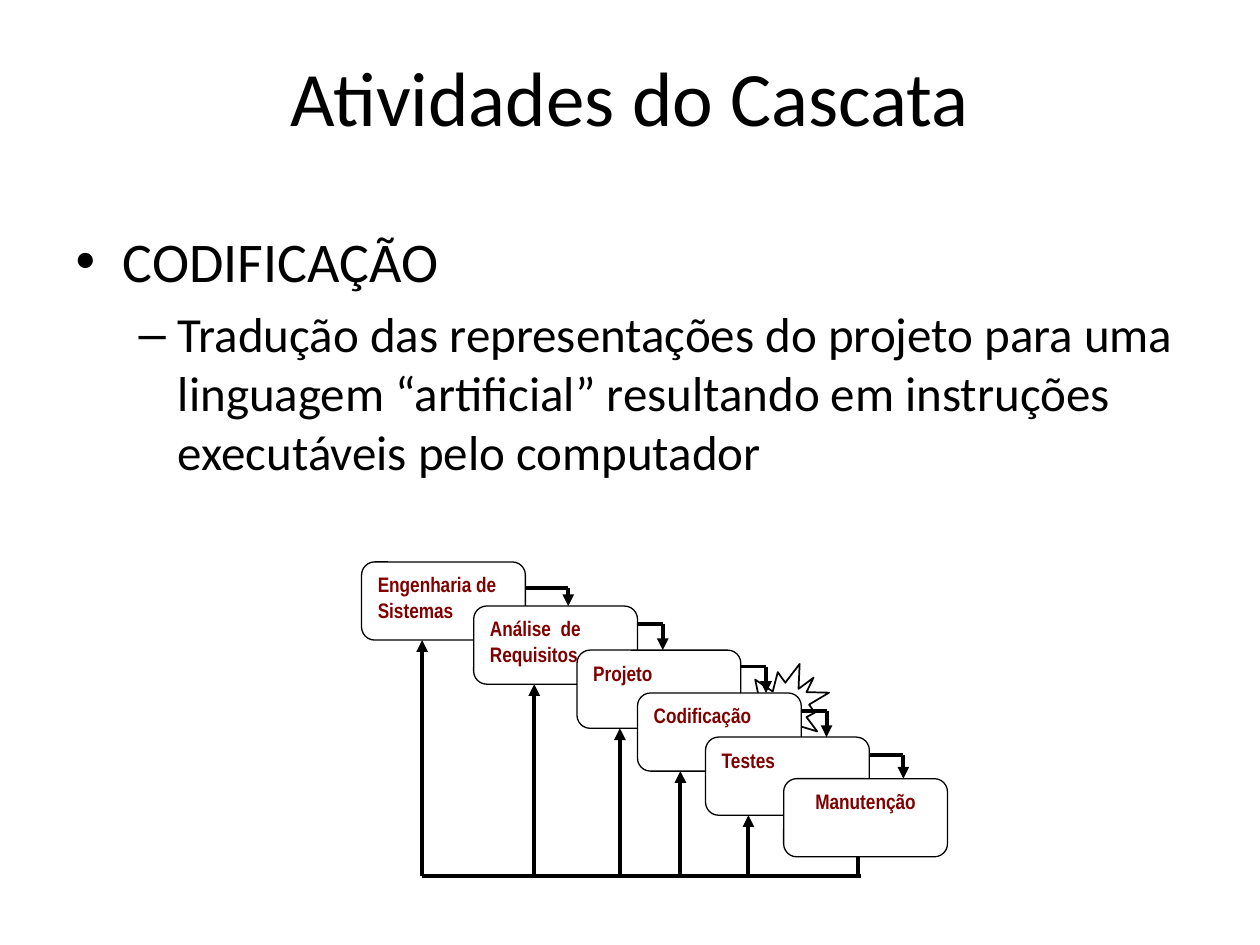
from pptx import Presentation
from pptx.dml.color import RGBColor
from pptx.enum.shapes import MSO_CONNECTOR, MSO_SHAPE
from pptx.enum.text import MSO_ANCHOR, PP_ALIGN
from pptx.oxml.ns import qn
from pptx.util import Inches, Pt
from lxml import etree

STRAIGHT = MSO_CONNECTOR.STRAIGHT
ROUNDED = MSO_SHAPE.ROUNDED_RECTANGLE
BURST = MSO_SHAPE.EXPLOSION2
TOP = MSO_ANCHOR.TOP
LEFT, CENTER = PP_ALIGN.LEFT, PP_ALIGN.CENTER

BOX_WIDTH, BOX_HEIGHT = 1.3, 0.62
RETURN_Y = 6.95


def color(value):
    return RGBColor.from_string(value)


class CascadeSlide:
    black, white, maroon = "000000", "FFFFFF", "800000"
    text_font, stage_font = "Calibri", "Arial Narrow"

    def __init__(self, presentation):
        self.slide = presentation.slides.add_slide(presentation.slide_layouts[1])

    def place(self, shape, left, top, width, height):
        shape.left, shape.top = Inches(left), Inches(top)
        shape.width, shape.height = Inches(width), Inches(height)

    def add_text(self, paragraph, text, size, font, ink, bold=False):
        run = paragraph.add_run()
        run.text = text
        run.font.size = Pt(size)
        run.font.name = font
        run.font.bold = bold
        run.font.color.rgb = color(ink)

    def title(self, text):
        heading = self.slide.shapes.title
        self.place(heading, 0.5, 0.3, 9, 1.25)
        frame = heading.text_frame
        frame.vertical_anchor = TOP
        frame.margin_top = Inches(0.09)
        frame.paragraphs[0].alignment = CENTER
        self.add_text(frame.paragraphs[0], text, 44, self.text_font, self.black)

    def body(self, items):
        outline = self.slide.placeholders[1]
        self.place(outline, 0.5, 1.75, 9, 4.95)
        frame = outline.text_frame
        for index, (level, size, space, text) in enumerate(items):
            paragraph = frame.add_paragraph() if index else frame.paragraphs[0]
            paragraph.level = level
            paragraph.space_before = Pt(space)
            self.add_text(paragraph, text, size, self.text_font, self.black)

    def outlined(self, kind, left, top, width, height, weight):
        shape = self.slide.shapes.add_shape(
            kind, Inches(left), Inches(top), Inches(width), Inches(height))
        shape.shadow.inherit = False
        shape.fill.background()
        shape.line.color.rgb = color(self.black)
        shape.line.width = Pt(weight)
        return shape

    def stage(self, text, left, top, alignment):
        box = self.outlined(ROUNDED, left, top, BOX_WIDTH, BOX_HEIGHT, 0.75)
        box.fill.solid()
        box.fill.fore_color.rgb = color(self.white)
        frame = box.text_frame
        frame.word_wrap = True
        frame.vertical_anchor = TOP
        frame.paragraphs[0].alignment = alignment
        self.add_text(frame.paragraphs[0], text, 12, self.stage_font, self.maroon, True)

    def line(self, x1, y1, x2, y2, arrow=False):
        connector = self.slide.shapes.add_connector(
            STRAIGHT, Inches(x1), Inches(y1), Inches(x2), Inches(y2))
        connector.line.color.rgb = color(self.black)
        connector.line.width = Pt(2.25)
        properties = connector.element.spPr
        if arrow:
            etree.SubElement(properties.find(qn("a:ln")), qn("a:tailEnd"), type="triangle")
        etree.SubElement(properties, qn("a:effectLst"))


def main():
    presentation = Presentation()
    presentation.slide_width, presentation.slide_height = Inches(10), Inches(7.5)
    cascade = CascadeSlide(presentation)
    cascade.title("Atividades do Cascata")
    cascade.body([
        (0, 32, 0, "CODIFICAÇÃO"),
        (1, 28, 5.6, "Tradução das representações do projeto para uma linguagem "
                     "“artificial” resultando em instruções executáveis pelo computador"),
    ])
    cascade.outlined(BURST, 5.84, 5.27, 0.74, 0.74, 1)

    stages = [
        ("Engenharia de Sistemas", 2.87, 4.46, LEFT),
        ("Análise  de Requisitos", 3.76, 4.81, LEFT),
        ("Projeto", 4.58, 5.16, LEFT),
        ("Codificação", 5.06, 5.5, LEFT),
        ("Testes", 5.6, 5.85, LEFT),
        ("Manutenção", 6.22, 6.18, CENTER),
    ]
    for stage in stages:
        cascade.stage(*stage)

    forward = [(4.51, 4.67), (5.26, 4.95), (6.08, 5.29), (6.56, 5.64), (7.17, 5.99)]
    for (_, left, _, _), following, (x, y) in zip(stages, stages[1:], forward):
        cascade.line(left + BOX_WIDTH, y, x, y)
        cascade.line(x, y, x, following[2], arrow=True)

    return_xs = [3.35, 4.24, 4.92, 5.4, 5.94]
    last_x, last_top = 6.81, stages[-1][2]
    cascade.line(last_x, last_top + BOX_HEIGHT, last_x, RETURN_Y)
    cascade.line(return_xs[0], RETURN_Y, last_x + 0.02, RETURN_Y)
    for (_, _, top, _), x in zip(stages, return_xs):
        cascade.line(x, RETURN_Y, x, top + BOX_HEIGHT, arrow=True)

    presentation.save("out.pptx")


if __name__ == "__main__":
    main()
